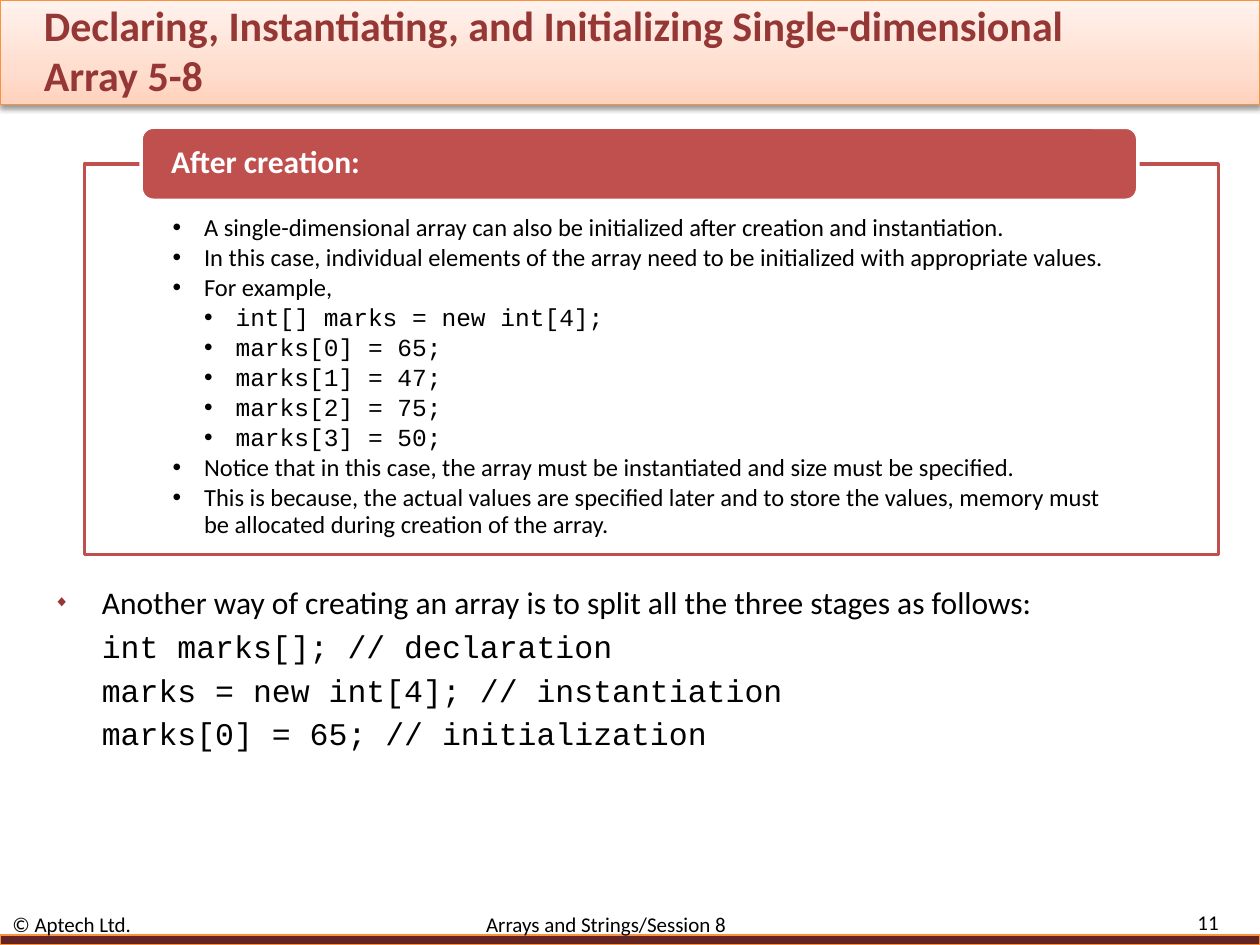
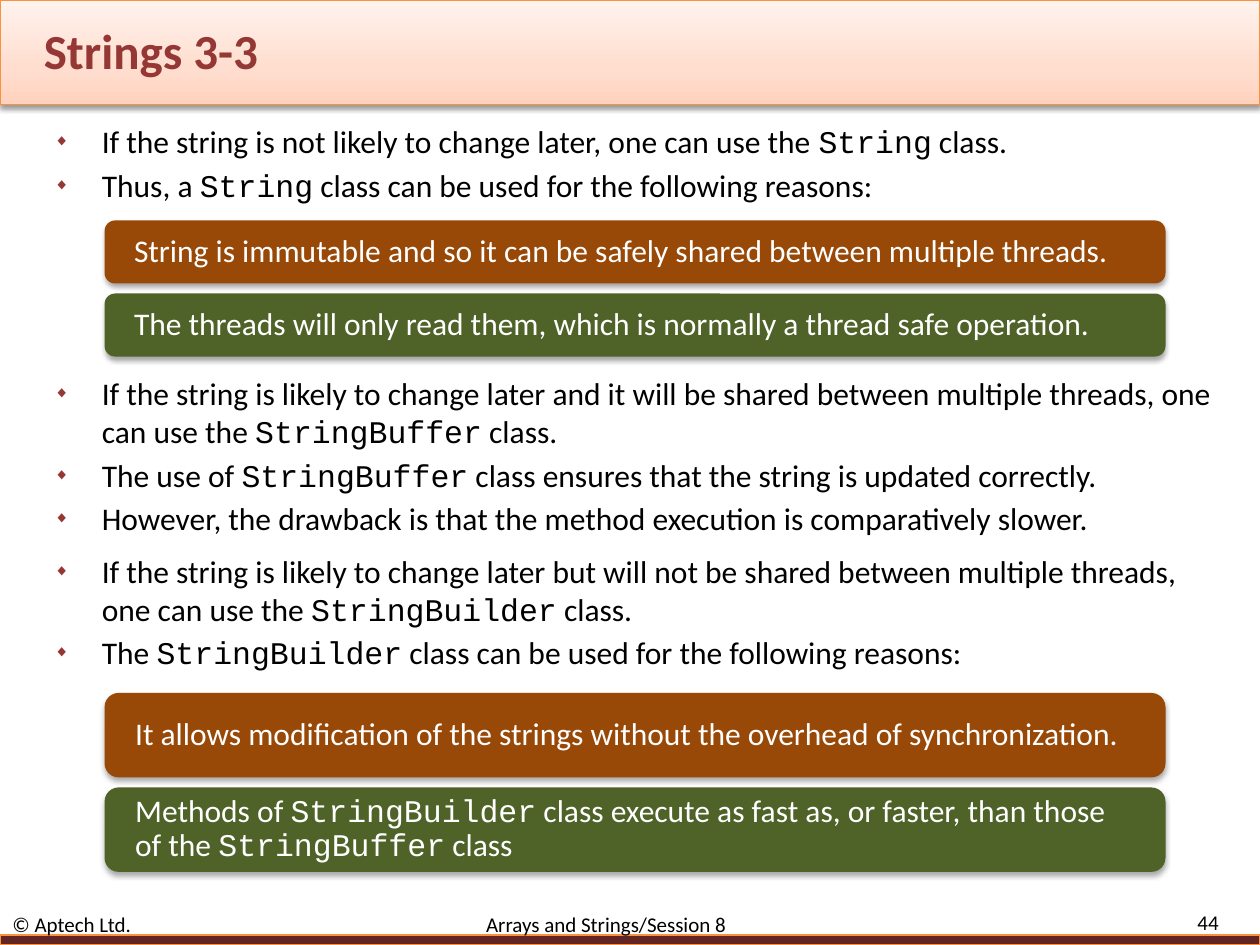
from lxml.etree import SubElement
from copy import deepcopy
from pptx import Presentation
from pptx.dml.color import RGBColor
from pptx.enum.shapes import MSO_SHAPE
from pptx.enum.text import MSO_ANCHOR, PP_ALIGN
from pptx.oxml.ns import qn
from pptx.util import Inches, Pt

PROSE_FONT, CODE_FONT = "Calibri", "Courier New"
BLACK, WHITE = "000000", "FFFFFF"
TITLE_COLOUR, DIAMOND_COLOUR = "953735", "973735"
BAND_LINE, FOOTER_BAND = "F69240", "632523"
BAND_STOPS = [(0, "FFD2BD"), (0.35, "FFDED0"), (1, "FFF2ED")]
RED, BROWN, GREEN = "C0504D", "984807", "4F6228"


def colour(value):
    return RGBColor.from_string(value)


def add_box(page, kind, box, fill, line=None, width=0.75, shadow=None):
    """Add a filled shape; shadow is (opacity %, distance in points)."""
    shape = page.shapes.add_shape(kind, *map(Inches, box))
    if fill:
        shape.fill.solid()
        shape.fill.fore_color.rgb = colour(fill)
    if line:
        shape.line.color.rgb = colour(line)
        shape.line.width = Pt(width)
    else:
        shape.line.fill.background()
    shape.shadow.inherit = False
    if shadow:
        opacity, distance = shadow
        effects = shape._element.spPr.find(qn("a:effectLst"))
        outer = SubElement(effects, qn("a:outerShdw"), blurRad=str(Pt(3.1)),
                           dist=str(Pt(distance)), dir="5400000", rotWithShape="0")
        shade = SubElement(outer, qn("a:srgbClr"), val=BLACK)
        SubElement(shade, qn("a:alpha"), val=str(opacity * 1000))
    return shape


def set_frame(shape, anchor=MSO_ANCHOR.TOP, margins=(0.1, 0.05, 0.1, 0.05)):
    frame = shape.text_frame
    frame.word_wrap = True
    frame.vertical_anchor = anchor
    (frame.margin_left, frame.margin_top,
     frame.margin_right, frame.margin_bottom) = map(Inches, margins)
    return frame


def add_text_box(page, box, **layout):
    return set_frame(page.shapes.add_textbox(*map(Inches, box)), **layout)


def next_para(frame, first):
    return frame.paragraphs[0] if first else frame.add_paragraph()


def set_bullet(para, symbol, left, hanging, tint=None, percent=None):
    props = para._p.get_or_add_pPr()
    props.set("marL", str(Inches(left)))
    props.set("indent", str(Inches(-hanging)))
    if tint:
        SubElement(SubElement(props, qn("a:buClr")), qn("a:srgbClr"), val=tint)
    if percent:
        SubElement(props, qn("a:buSzPct"), val=str(percent * 1000))
    if symbol:
        SubElement(props, qn("a:buFont"), typeface="Arial")
        SubElement(props, qn("a:buChar"), char=symbol)
    else:
        SubElement(props, qn("a:buNone"))


def write(para, text, size, tint=BLACK, bold=False):
    """Fill a paragraph; words between backticks are set in the code font."""
    pieces = text.split("`")
    all_code = text.startswith("`") and len(pieces) == 3 and not pieces[2]
    para.font.size = Pt(size)
    para.font.bold = bold
    para.font.color.rgb = colour(tint)
    if all_code or len(pieces) == 1:
        para.font.name = CODE_FONT if all_code else PROSE_FONT
    for number, piece in enumerate(pieces):
        if piece:
            span = para.add_run()
            span.text = piece
            if len(pieces) > 1 and not all_code:
                span.font.name = CODE_FONT if number % 2 else PROSE_FONT


def add_page(deck, title, title_size, number):
    page = deck.slides.add_slide(deck.slide_layouts[6])
    # Title band
    band = add_box(page, MSO_SHAPE.RECTANGLE, (0, 0, 10, 0.83), None,
                   BAND_LINE, shadow=(38, 1.6))
    band.fill.gradient()
    band.fill.gradient_angle = 90
    stop_list = band._element.spPr.find(".//" + qn("a:gsLst"))
    stop_list.append(deepcopy(stop_list[0]))
    for stop, (position, tint) in zip(band.fill.gradient_stops, BAND_STOPS):
        stop.position = position
        stop.color.rgb = colour(tint)
    frame = add_text_box(page, (0.25, 0.17, 8.67, 0.45), anchor=MSO_ANCHOR.MIDDLE)
    write(frame.paragraphs[0], title, title_size, TITLE_COLOUR, bold=True)

    # Footer
    add_box(page, MSO_SHAPE.RECTANGLE, (0, 7.42, 10, 0.08), FOOTER_BAND,
            BAND_LINE, shadow=(35, 1.8))
    frame = add_text_box(page, (8.92, 7.23, 0.85, 0.18), anchor=MSO_ANCHOR.MIDDLE)
    frame.paragraphs[0].alignment = PP_ALIGN.RIGHT
    write(frame.paragraphs[0], str(number), 12)
    frame = add_text_box(page, (0, 7.25, 8.83, 0.17), anchor=MSO_ANCHOR.MIDDLE)
    para = frame.paragraphs[0]
    tabs = SubElement(para._p.get_or_add_pPr(), qn("a:tabLst"))
    SubElement(tabs, qn("a:tab"), pos=str(Inches(3.76)), algn="l")
    write(para, "© Aptech Ltd.\tArrays and Strings/Session 8", 12)
    return page


def add_points(page, top, height, lines):
    """Diamond points; lines wholly in code carry no diamond."""
    frame = add_text_box(page, (0.33, top, 9.42, height))
    for number, line in enumerate(lines):
        para = next_para(frame, number == 0)
        if number:
            para.space_before = Pt(3.4)
        if line.startswith("`"):
            set_bullet(para, None, 0.38, 0)
        else:
            set_bullet(para, "◆", 0.38, 0.38, DIAMOND_COLOUR, 50)
        write(para, line, 18)


def add_label(page, box, text, fill, bold=False, **style):
    shape = add_box(page, MSO_SHAPE.ROUNDED_RECTANGLE, box, fill, **style)
    frame = set_frame(shape, MSO_ANCHOR.MIDDLE, (0.21, 0, 0.21, 0))
    para = frame.paragraphs[0]
    para.alignment = PP_ALIGN.LEFT
    para.line_spacing = 0.9
    write(para, text, 18, WHITE, bold)


def add_framed_list(page, box, heading, lines):
    left, top, width, height = box
    add_box(page, MSO_SHAPE.RECTANGLE, box, WHITE, RED, 2)
    frame = add_text_box(page, box, margins=(0.7, 0.41, 0.7, 0.11))
    for number, line in enumerate(lines):
        para = next_para(frame, number == 0)
        para.line_spacing = 0.9
        para.space_after = Pt(2)
        set_bullet(para, "•", 0.5 if line.startswith("`") else 0.25, 0.25)
        write(para, line, 14)
    add_label(page, (left + 0.45, top - 0.29, width - 1.09, 0.58), heading, RED,
              bold=True, line=WHITE, width=2)


def add_reasons(page, top, height, reasons):
    for number, (text, fill) in enumerate(zip(reasons, (BROWN, GREEN))):
        add_label(page, (0.83, top + number * (height + 0.08), 8.42, height),
                  text, fill, shadow=(35, 1.8))


def build_array_page(deck):
    page = add_page(deck, "Declaring, Instantiating, and Initializing "
                    "Single-dimensional Array 5-8", 24, 11)
    add_framed_list(page, (0.67, 1.3, 9, 3.1), "After creation:", [
        "A single-dimensional array can also be initialized after creation and instantiation.",
        "In this case, individual elements of the array need to be initialized "
        "with appropriate values.",
        "For example,",
        "`int[] marks = new int[4];`",
        "`marks[0] = 65;`",
        "`marks[1] = 47;`",
        "`marks[2] = 75;`",
        "`marks[3] = 50;`",
        "Notice that in this case, the array must be instantiated and size must be specified.",
        "This is because, the actual values are specified later and to store the values, "
        "memory must be allocated during creation of the array.",
    ])
    add_points(page, 4.58, 1.67, [
        "Another way of creating an array is to split all the three stages as follows:",
        "`int marks[]; // declaration`",
        "`marks = new int[4]; // instantiation`",
        "`marks[0] = 65; // initialization`",
    ])


def build_strings_page(deck):
    page = add_page(deck, "Strings 3-3", 28, 44)
    add_points(page, 0.92, 0.75, [
        "If the string is not likely to change later, one can use the `String` class.",
        "Thus, a `String` class can be used for the following reasons:",
    ])
    add_reasons(page, 1.75, 0.5, [
        "String is immutable and so it can be safely shared between multiple threads.",
        "The threads will only read them, which is normally a thread safe operation.",
    ])
    add_points(page, 2.92, 1.42, [
        "If the string is likely to change later and it will be shared between "
        "multiple threads, one can use the `StringBuffer` class.",
        "The use of `StringBuffer` class ensures that the string is updated correctly.",
        "However, the drawback is that the method execution is comparatively slower.",
    ])
    add_points(page, 4.33, 1.08, [
        "If the string is likely to change later but will not be shared between "
        "multiple threads, one can use the `StringBuilder` class.",
        "The `StringBuilder` class can be used for the following reasons:",
    ])
    add_reasons(page, 5.5, 0.67, [
        "It allows modification of the strings without the overhead of synchronization.",
        "Methods of `StringBuilder` class execute as fast as, or faster, than those "
        "of the `StringBuffer` class",
    ])


def main():
    deck = Presentation()
    deck.slide_width, deck.slide_height = Inches(10), Inches(7.5)
    build_array_page(deck)
    build_strings_page(deck)
    deck.save("out.pptx")


if __name__ == "__main__":
    main()
